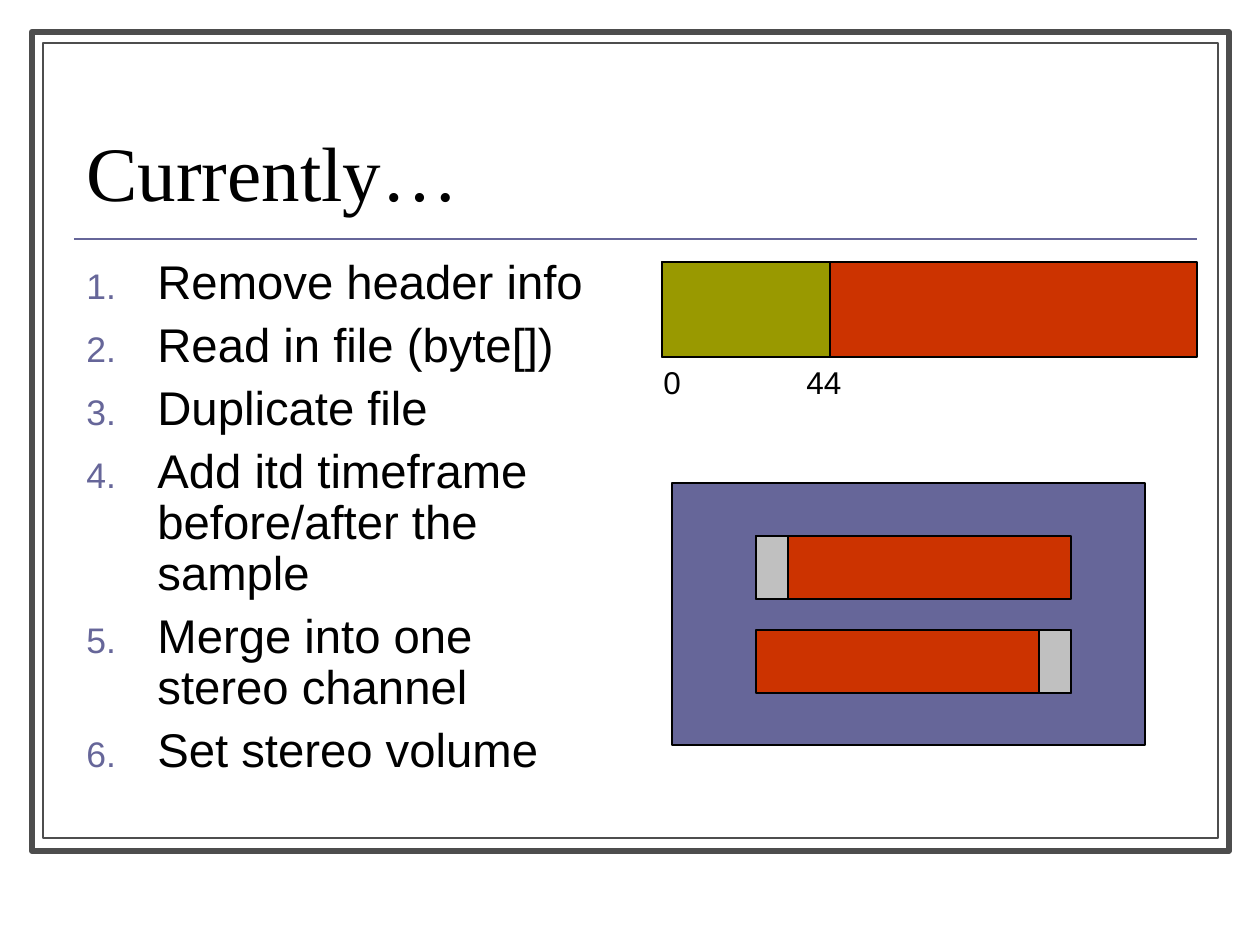
from lxml.etree import SubElement
from pptx import Presentation
from pptx.dml.color import RGBColor
from pptx.enum.shapes import MSO_CONNECTOR as Connector, MSO_SHAPE as Shape
from pptx.enum.text import MSO_ANCHOR as Anchor
from pptx.oxml.ns import qn
from pptx.util import Pt

SCALE = 914400 / 126
BLACK, WHITE, FRAME, ACCENT = "000000", "FFFFFF", "4D4D4D", "666699"
SAMPLE, HEADER, PADDING = "CC3300", "999900", "C0C0C0"


def emu(*lengths):
    return [round(length * SCALE) for length in lengths]


def color(code):
    return RGBColor.from_string(code)


deck = Presentation()
deck.slide_width, deck.slide_height = emu(1260, 945)
page = deck.slides.add_slide(deck.slide_layouts[6])

frames = [
    (32, 32, 1197, 819, WHITE, FRAME, 3.5),
    (43, 43, 1175, 795, WHITE, FRAME, 0.75),
]
bar_left, bar_width, bar_height, pad_width = 756, 315, 63, 32
upper_bar, lower_bar = 536, 630
blocks = [
    (672, 483, 473, 262, ACCENT),
    (662, 262, 535, 95, SAMPLE),
    (662, 262, 168, 95, HEADER),
    (bar_left, upper_bar, bar_width, bar_height, SAMPLE),
    (bar_left, lower_bar, bar_width, bar_height, SAMPLE),
    (bar_left, upper_bar, pad_width, bar_height, PADDING),
    (bar_left + bar_width - pad_width, lower_bar, pad_width, bar_height, PADDING),
]
for left, top, width, height, fill, line, weight in frames + [
    (*block, BLACK, 0.75) for block in blocks
]:
    shape = page.shapes.add_shape(Shape.RECTANGLE, *emu(left, top, width, height))
    shape.shadow.inherit = False
    shape.fill.solid()
    shape.fill.fore_color.rgb = color(fill)
    shape.line.color.rgb = color(line)
    shape.line.width = Pt(weight)

rule = page.shapes.add_connector(Connector.STRAIGHT, *emu(74, 239, 1197, 239))
rule.line.color.rgb = color(ACCENT)
rule.line.width = Pt(1)
SubElement(rule._element.spPr, qn("a:effectLst"))

steps = [
    "Remove header info",
    "Read in file (byte[])",
    "Duplicate file",
    "Add itd timeframe before/after the sample",
    "Merge into one stereo channel",
    "Set stereo volume",
]
texts = [
    ((74, 66, 1123, 157), ["Currently…"], Anchor.BOTTOM, 0.8,
     {"name": "Times New Roman", "size": Pt(44)}),
    ((74, 252, 551, 557), steps, Anchor.TOP, 0.9,
     {"name": "Arial", "size": Pt(27)}),
    ((651, 357, 242, 50), ["0\t44"], Anchor.TOP, 1.0,
     {"name": "Arial", "size": Pt(18)}),
]
for place, lines, anchor, spacing, font in texts:
    box = page.shapes.add_textbox(*emu(*place))
    frame = box.text_frame
    frame.word_wrap = True
    frame.vertical_anchor = anchor
    for number, line in enumerate(lines):
        para = frame.paragraphs[0] if number == 0 else frame.add_paragraph()
        para.line_spacing = spacing
        if number:
            para.space_before = Pt(6.8)
        properties = para._p.get_or_add_pPr()
        if lines is steps:
            indent = emu(71)[0]
            properties.set("marL", str(indent))
            properties.set("indent", str(-indent))
            bullet_color = SubElement(properties, qn("a:buClr"))
            SubElement(bullet_color, qn("a:srgbClr"), val=ACCENT)
            SubElement(properties, qn("a:buSzPct"), val="75000")
            SubElement(properties, qn("a:buFont"), typeface="Arial")
            SubElement(properties, qn("a:buAutoNum"), type="arabicPeriod")
        if "\t" in line:
            tabs = SubElement(properties, qn("a:tabLst"))
            SubElement(tabs, qn("a:tab"), pos=str(emu(143)[0]), algn="l")
        span = para.add_run()
        span.text = line
        span.font.color.rgb = color(BLACK)
        for name, value in font.items():
            setattr(span.font, name, value)

deck.save("out.pptx")
